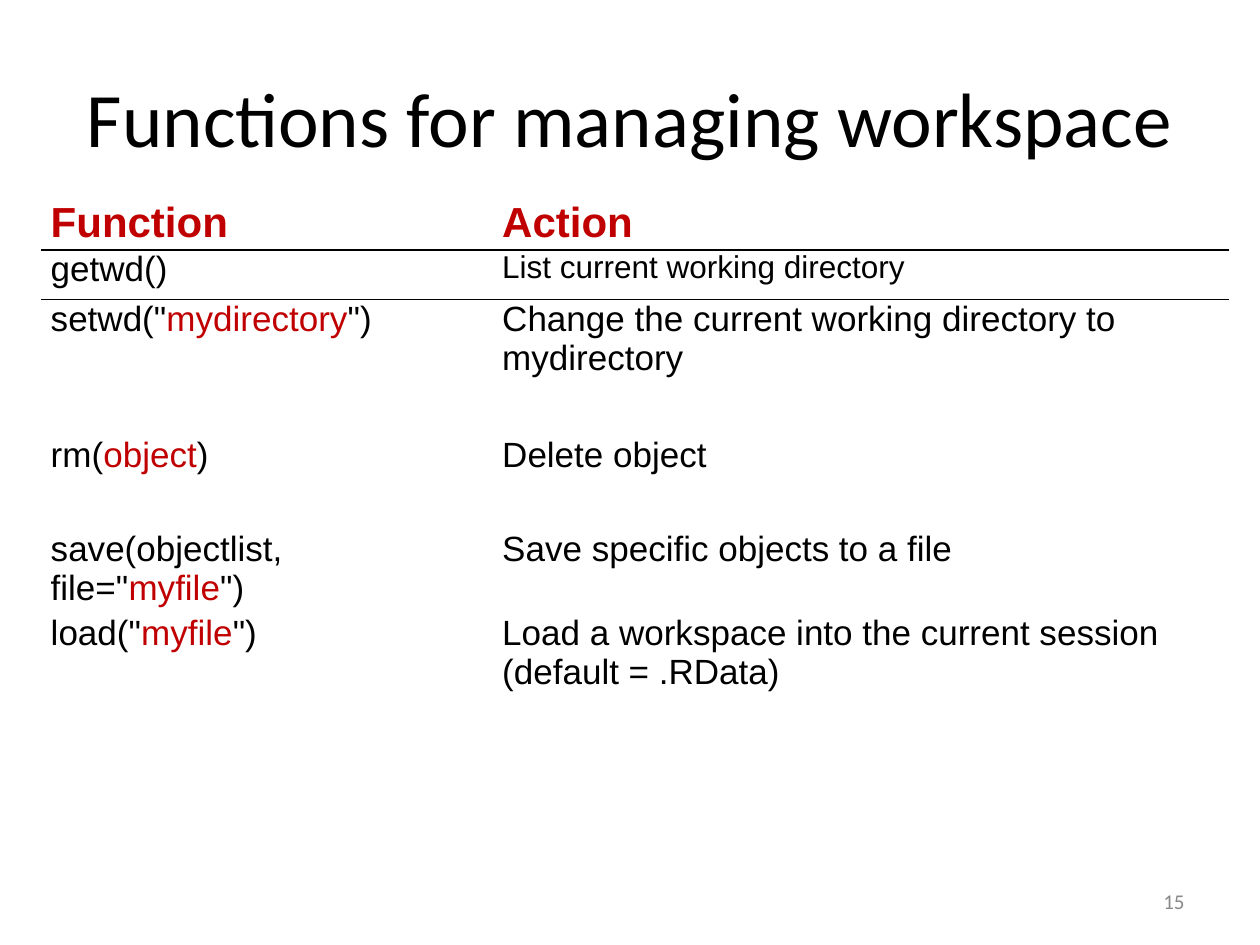
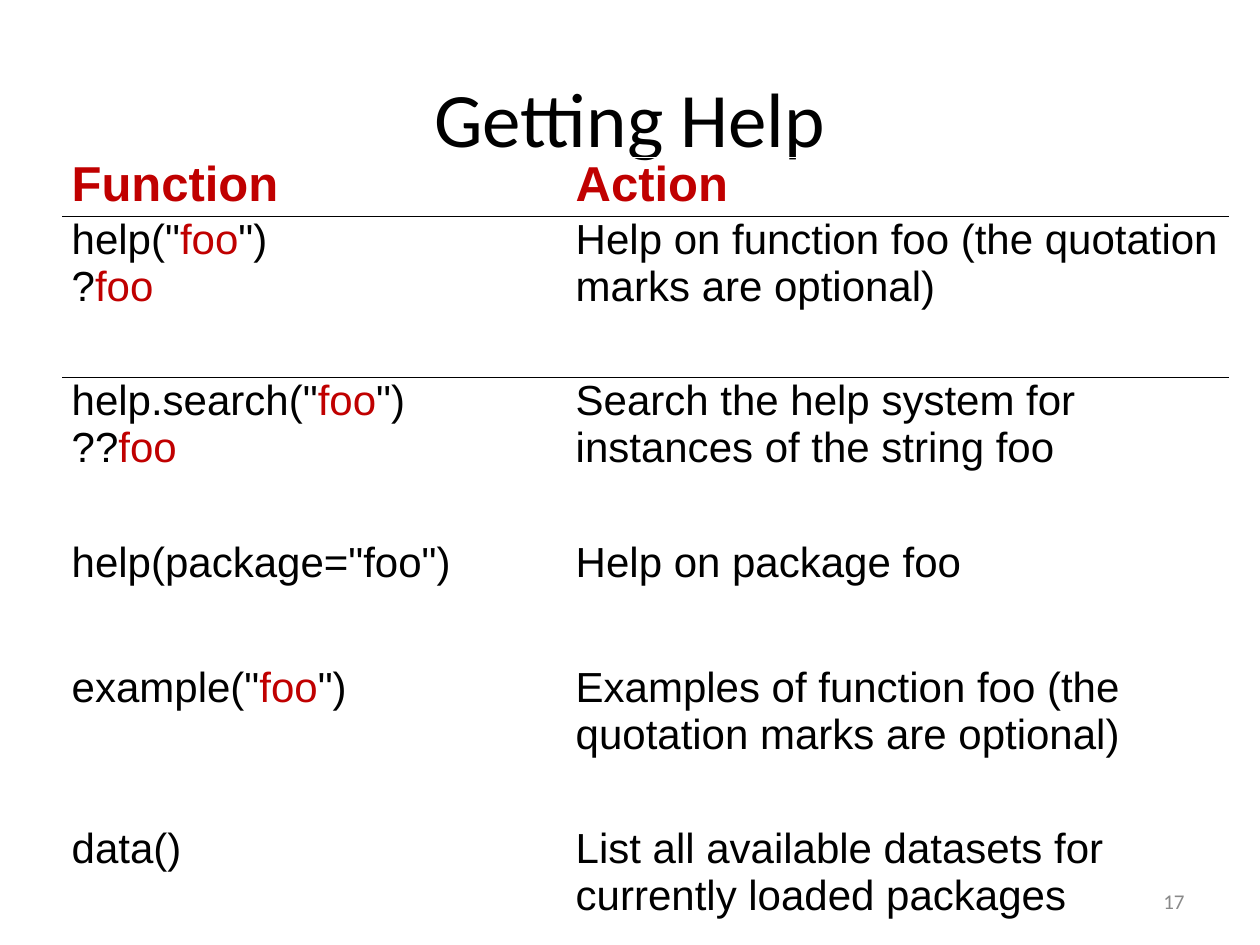
from lxml import etree
from pptx import Presentation
from pptx.dml.color import RGBColor
from pptx.enum.text import MSO_ANCHOR, PP_ALIGN
from pptx.oxml.ns import qn
from pptx.util import Pt

MIDDLE, TOP = MSO_ANCHOR.MIDDLE, MSO_ANCHOR.TOP
CENTER, RIGHT = PP_ALIGN.CENTER, PP_ALIGN.RIGHT
BLACK, RED, GRAY = "000000", "C00000", "898989"
TITLE_BOX = (36, 21.6, 648, 90)
NUMBER_BOX = (516, 500.5, 168, 28.75)
RULED_ROWS = 2

WORKSPACE = [
    ("Function", "Action"),
    ("getwd()", "List current working directory"),
    ('setwd("*mydirectory*")', "Change the current working directory to mydirectory"),
    ("rm(*object*)", "Delete object"),
    ('save(objectlist, file="*myfile*")', "Save specific objects to a file"),
    ('load("*myfile*")', "Load a workspace into the current session\n(default = .RData)"),
]
HELP = [
    ("Function", "Action"),
    ('help("*foo*")\n?*foo*', "Help on function foo (the quotation marks are optional)"),
    ('help.search("*foo*")\n??*foo*', "Search the help system for instances of the string foo"),
    ('help(package="foo")', "Help on package foo"),
    ('example("*foo*")', "Examples of function foo (the quotation marks are optional)"),
    ("data()", "List all available datasets for currently loaded packages"),
]


def color(hex_code):
    """Turn a hex string into a colour."""
    return RGBColor.from_string(hex_code)


def style(run, font, size, hex_code, bold=False):
    """Format one run."""
    run.font.name, run.font.size, run.font.bold = font, Pt(size), bold
    run.font.color.rgb = color(hex_code)


def add_label(slide, box, text, size, hex_code, align):
    """Place one vertically centred line of text in a box."""
    frame = slide.shapes.add_textbox(*map(Pt, box)).text_frame
    frame.word_wrap, frame.vertical_anchor = True, MIDDLE
    line = frame.paragraphs[0]
    line.text, line.alignment = text, align
    style(line.runs[0], "Calibri", size, hex_code)


def rule(cell, side):
    """Draw a thin black border on one side of a cell."""
    border = etree.SubElement(cell._tc.get_or_add_tcPr(), qn(f"a:{side}"), w=str(Pt(1)))
    fill = etree.SubElement(border, qn("a:solidFill"))
    etree.SubElement(fill, qn("a:srgbClr"), val=BLACK)


def write_cell(cell, marked_text, size, is_header):
    """Write text in a cell, with the parts between asterisks in red."""
    cell.margin_left = cell.margin_right = Pt(5)
    cell.margin_top = cell.margin_bottom = 0
    cell.vertical_anchor = TOP
    entry = cell.text_frame.paragraphs[0]
    entry.space_before = Pt(6)
    for line_index, line in enumerate(marked_text.split("\n")):
        if line_index:
            entry.add_line_break()
        for part_index, part in enumerate(line.split("*")):
            if part:
                run = entry.add_run()
                run.text = part
                hex_code = RED if is_header or part_index % 2 else BLACK
                style(run, "Arial", size, hex_code, is_header)


def add_functions(slide, left, top, widths, heights, entries, size, small_cells=()):
    """Build the function table, ruled under its first rows."""
    table = slide.shapes.add_table(
        len(entries), len(widths), Pt(left), Pt(top), Pt(sum(widths)), Pt(sum(heights))
    ).table
    table.first_row = table.horz_banding = False
    for column, width in zip(table.columns, widths):
        column.width = Pt(width)
    for row_index, (height, entry) in enumerate(zip(heights, entries)):
        table.rows[row_index].height = Pt(height)
        for column_index, text in enumerate(entry):
            cell = table.cell(row_index, column_index)
            is_header = row_index == 0
            is_small = (row_index, column_index) in small_cells
            write_cell(cell, text, size + 4 * is_header - 2 * is_small, is_header)
            if 0 < row_index <= RULED_ROWS:
                rule(cell, "lnT")
            if row_index < RULED_ROWS:
                rule(cell, "lnB")
            cell.fill.background()


def add_page(deck, title, number):
    """Add a blank slide with its title and return it with its number."""
    slide = deck.slides.add_slide(deck.slide_layouts[6])
    add_label(slide, TITLE_BOX, title, 44, BLACK, CENTER)
    add_label(slide, NUMBER_BOX, number, 12, GRAY, RIGHT)
    return slide


def main():
    """Build both slides and save them."""
    deck = Presentation()
    deck.slide_width, deck.slide_height = Pt(720), Pt(540)
    workspace = add_page(deck, "Functions for managing workspace", "15")
    add_functions(workspace, 24, 114, (258, 420), (28.8, 28.4, 77.6, 54, 28.4, 57),
                  WORKSPACE, 20, small_cells={(1, 1)})
    getting_help = add_page(deck, "Getting Help", "17")
    add_functions(getting_help, 36, 90, (288, 378), (33.6, 92.2, 92.2, 71.6, 92.2, 57.6),
                  HELP, 24)
    deck.save("out.pptx")


if __name__ == "__main__":
    main()
